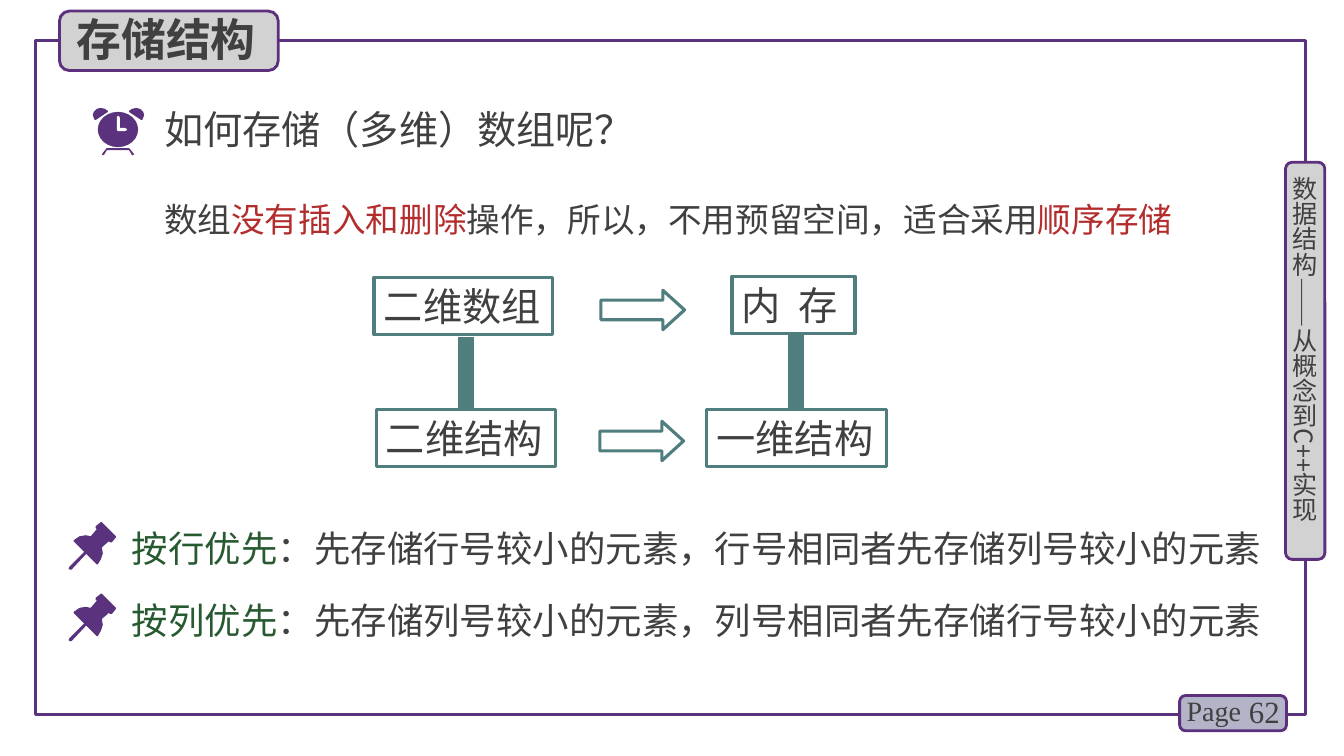
"""Build the slide on how multi-dimensional arrays are stored."""
from pptx import Presentation
from pptx.dml.color import RGBColor
from pptx.enum.shapes import MSO_SHAPE
from pptx.enum.text import MSO_ANCHOR, PP_ALIGN
from pptx.oxml.ns import qn
from pptx.util import Inches, Pt

HUES = {"frame": "5A327D", "edge": "5C307D", "page": "B4B4C8", "tab": "D2D2D2",
        "ink": "404040", "red": "B42D2D", "teal": "507D7D", "green": "285A32",
        "white": "FFFFFF"}
SANS, ROMAN = "Noto Sans CJK SC", "Times New Roman"
WIDE, HIGH = 13.33, 7.5

TABS = [((11.7, 6.9, 1.06, 0.35), "page"), ((12.75, 1.61, 0.39, 3.94), "tab"),
        ((0.59, 0.11, 2.17, 0.59), "tab")]
TITLE = [("存储结构", "ink")]
SIDE = [("数据结构——从概念到C++实现", "ink")]
ASK = [("如何存储（多维）数组呢？", "ink")]
CLAIM = [("数组", "ink"), ("没有插入和删除", "red"),
         ("操作，所以，不用预留空间，适合采用", "ink"), ("顺序存储", "red")]
RULES = [[("按行优先", "green"),
          ("：先存储行号较小的元素，行号相同者先存储列号较小的元素", "ink")],
         [("按列优先", "green"),
          ("：先存储列号较小的元素，列号相同者先存储行号较小的元素", "ink")]]
BOXES = [("二维数组", 3.71, 2.75, 1.77), ("内 存", 7.26, 2.74, 1.22),
         ("二维结构", 3.73, 4.06, 1.78), ("一维结构", 7.01, 4.06, 1.78)]
BARS = [(4.55, 3.35), (7.82, 3.33)]
ARROWS = [(5.96, 2.88), (5.95, 4.18)]
RULE_TOP, RULE_STEP = 5.17, 0.71

LEGS = [(1.33, 1.53), (1.29, 1.48), (1.28, 1.47), (1.06, 1.47), (1.05, 1.48),
        (1.01, 1.53), (1.02, 1.54), (1.03, 1.54), (1.06, 1.49), (1.28, 1.49),
        (1.31, 1.54), (1.32, 1.54)]
BELL = [(1, 1.07), (0.96, 1.08), (0.93, 1.11), (0.92, 1.14), (0.93, 1.17),
        (0.94, 1.19), (0.95, 1.19), (1.07, 1.11), (1.07, 1.1), (1.04, 1.08)]
HANDS = [(1.16, 1.16), (1.17, 1.15), (1.18, 1.15), (1.19, 1.17), (1.19, 1.27),
         (1.24, 1.27), (1.26, 1.28), (1.26, 1.29), (1.24, 1.3), (1.17, 1.3),
         (1.16, 1.29)]
FACE = (0.97, 1.11, 0.4, 0.35)
HEAD = [(1.15, 5.32), (1.01, 5.18), (1, 5.18), (0.95, 5.22), (0.95, 5.24),
        (0.96, 5.25), (0.9, 5.32), (0.85, 5.31), (0.79, 5.32), (0.73, 5.36),
        (0.73, 5.37), (0.96, 5.6), (0.97, 5.6), (1, 5.55), (1.02, 5.49),
        (1.01, 5.43), (1.08, 5.37), (1.09, 5.38), (1.11, 5.38), (1.15, 5.33)]
NEEDLE = [(0.7, 5.65), (0.69, 5.65), (0.68, 5.64), (0.69, 5.62), (0.84, 5.47),
          (0.86, 5.47), (0.87, 5.48), (0.86, 5.49), (0.71, 5.65)]

deck = Presentation()
deck.slide_width, deck.slide_height = Inches(WIDE), Inches(HIGH)
slide = deck.slides.add_slide(deck.slide_layouts[6])


def tone(key):
    return RGBColor.from_string(HUES[key])


def paint(shape, fill=None, line=None, width=2.25):
    shape.shadow.inherit = False
    if fill:
        shape.fill.solid()
        shape.fill.fore_color.rgb = tone(fill)
    else:
        shape.fill.background()
    if line:
        shape.line.color.rgb = tone(line)
        shape.line.width = Pt(width)
    else:
        shape.line.fill.background()
    return shape


def draw(kind, at, **look):
    return paint(slide.shapes.add_shape(kind, *map(Inches, at)), **look)


def trace(dots, fill="frame"):
    grid = [(round(x * 100), round(y * 100)) for x, y in dots]
    pen = slide.shapes.build_freeform(*grid[0], scale=Inches(0.01))
    pen.add_line_segments(grid[1:], close=True)
    paint(pen.convert_to_shape(), fill=fill)


def write(shape, runs, size, face=SANS, bold=False, align=PP_ALIGN.LEFT,
          anchor=MSO_ANCHOR.TOP, wrap=True):
    frame = shape.text_frame
    frame.word_wrap, frame.vertical_anchor = wrap, anchor
    para = frame.paragraphs[0]
    para.alignment = align
    for words, hue in runs:
        run = para.add_run()
        run.text = words
        font = run.font
        font.size, font.name, font.bold = Pt(size), face, bold
        font.color.rgb = tone(hue)
        east = run._r.get_or_add_rPr().makeelement(qn("a:ea"), {"typeface": face})
        run._r.rPr.find(qn("a:latin")).addnext(east)
    return frame


def label(at, runs, size, **look):
    return write(slide.shapes.add_textbox(*map(Inches, at)), runs, size, **look)


draw(MSO_SHAPE.RECTANGLE, (0.35, 0.4, 12.6, 6.69), line="frame")
for at, fill in TABS:
    draw(MSO_SHAPE.ROUNDED_RECTANGLE, at, fill=fill, line="edge", width=2)
label((12.2, 6.86, 0.59, 0.4), [("62", "ink")], 22, face=ROMAN,
      align=PP_ALIGN.RIGHT, anchor=MSO_ANCHOR.MIDDLE)
label((11.67, 6.83, 0.78, 0.44), [("Page", "ink")], 20, face=ROMAN)
side = label((12.79, 1.75, 0.3, 3.78), SIDE, 18)
side.margin_left = side.margin_right = side.margin_top = side.margin_bottom = 0
side._txBody.bodyPr.set("vert", "eaVert")
label((0.66, 0.07, 2.09, 0.64), TITLE, 32, bold=True)

label((1.53, 1, 7.26, 0.57), ASK, 28)
trace(LEGS)
trace(BELL)
trace([(2 * FACE[0] + FACE[2] - x + 0.01, y) for x, y in BELL])
draw(MSO_SHAPE.OVAL, FACE, fill="frame")
trace(HANDS, "white")
label((1.53, 1.92, 10.72, 0.5), CLAIM, 24, align=PP_ALIGN.JUSTIFY)

for words, left, top, width in BOXES:
    box = draw(MSO_SHAPE.RECTANGLE, (left, top, width, 0.57), line="teal")
    parts = words.partition(" ")
    frame = write(box, [(part, "ink") for part in parts if part], 28, wrap=False)
    for run in frame.paragraphs[0].runs:
        if run.text == " ":
            run._r.rPr.set("spc", "600")
for left, top in BARS:
    draw(MSO_SHAPE.RECTANGLE, (left, top, 0.15, 0.71),
         fill="teal", line="teal", width=0.5)
for left, top in ARROWS:
    arrow = draw(MSO_SHAPE.RIGHT_ARROW, (left, top, 0.83, 0.39), line="teal")
    arrow.adjustments[1] = 0.55

for row, runs in enumerate(RULES):
    drop = row * RULE_STEP
    label((1.21, RULE_TOP + drop, 11.61, 0.54), runs, 26)
    for part in (HEAD, NEEDLE):
        trace([(x, y + drop) for x, y in part])

deck.save("out.pptx")
